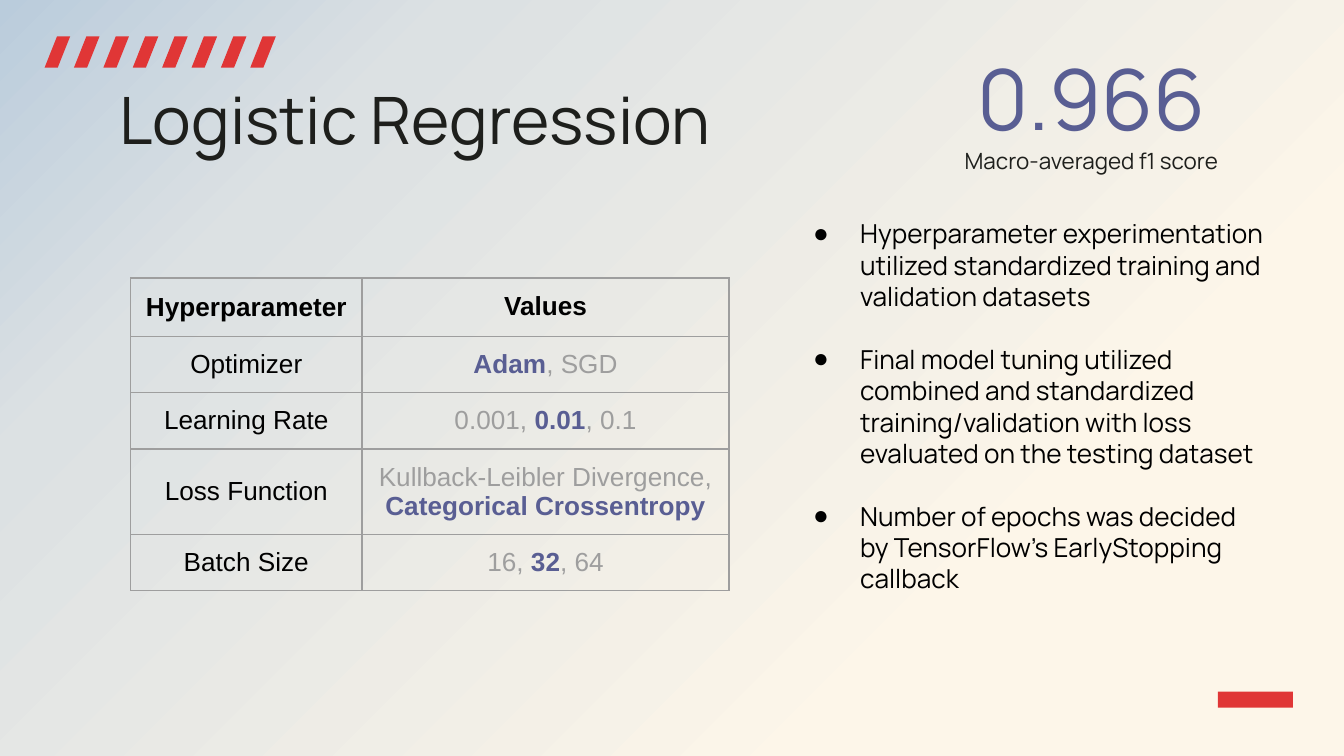
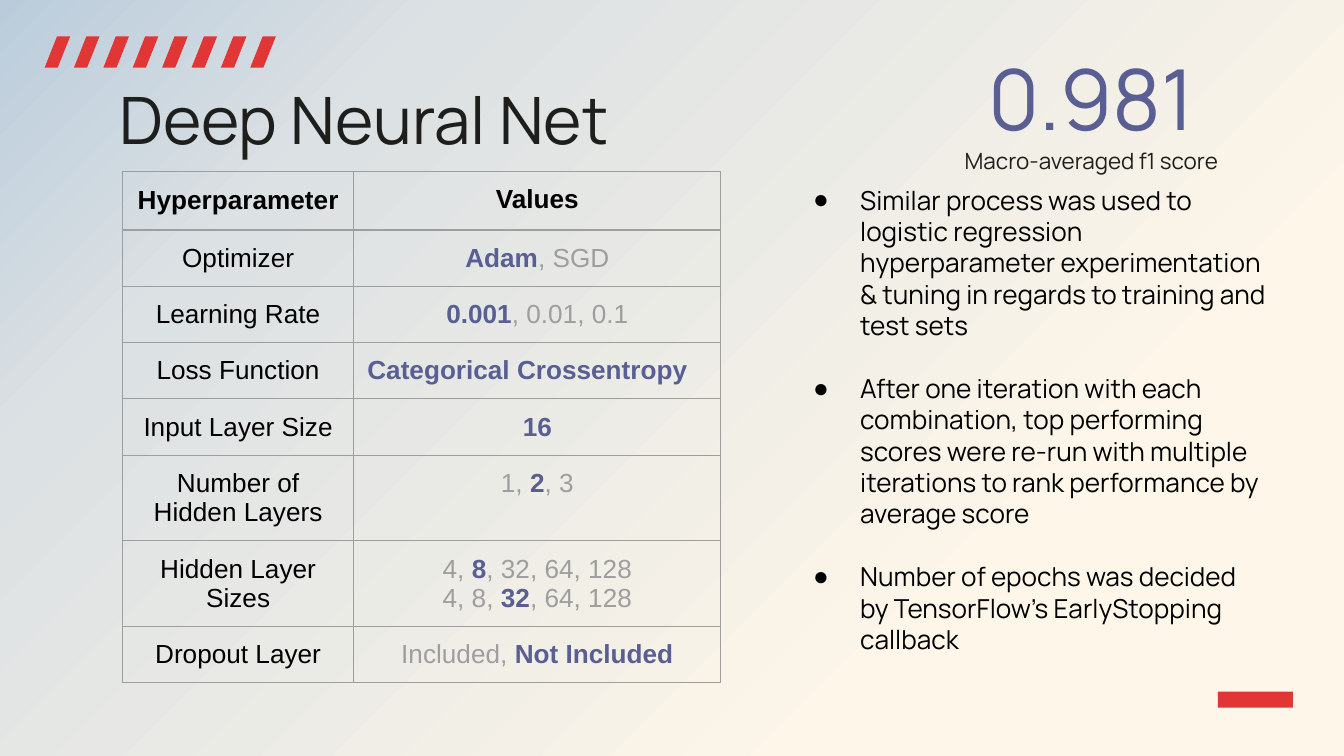
import copy

import pptx
import pptx.dml.color
import pptx.enum.shapes
import pptx.enum.text
import pptx.oxml
import pptx.oxml.ns
import pptx.util

Pt = pptx.util.Pt
Shape = pptx.enum.shapes.MSO_SHAPE
Align = pptx.enum.text.PP_ALIGN
Anchor = pptx.enum.text.MSO_ANCHOR
Fit = pptx.enum.text.MSO_AUTO_SIZE
qn = pptx.oxml.ns.qn
NS = pptx.oxml.ns.nsdecls("a")

RED, BLUE, GREY, INK, BLACK = "E03636", "595E93", "9E9E9E", "1E1F1C", "000000"
STOPS = [(0, "BACCDC"), (0.22, "DCE1E3"), (0.75, "FDF6E9"), (1, "FDF6E9")]
PAD = Pt(7.2)


def hue(code):
    return pptx.dml.color.RGBColor.from_string(code)


def write(par, text, size, code, face="Manrope", bold=False):
    """Add one formatted run to a paragraph."""
    run = par.add_run()
    run.text = text
    run.font.size = Pt(size)
    run.font.name = face
    run.font.bold = bold
    run.font.color.rgb = hue(code)


# Chosen values stand between asterisks.
TOPICS = [
    {
        "title": "Logistic Regression",
        "score": "0.966",
        "grid": (70, 149),
        "rows": [
            ("Optimizer", "*Adam*, SGD"),
            ("Learning Rate", "0.001, *0.01*, 0.1"),
            ("Loss Function", "Kullback-Leibler Divergence,\n*Categorical Crossentropy*"),
            ("Batch Size", "16, *32*, 64"),
        ],
        "list": (109.4, 252),
        "points": [
            "Hyperparameter experimentation utilized standardized training and "
            "validation datasets",
            "Final model tuning utilized combined and standardized "
            "training/validation with loss evaluated on the testing dataset",
        ],
    },
    {
        "title": "Deep Neural Net",
        "score": "0.981",
        "grid": (65.6, 92),
        "rows": [
            ("Optimizer", "*Adam*, SGD"),
            ("Learning Rate", "*0.001*, 0.01, 0.1"),
            ("Loss Function", "*Categorical Crossentropy*"),
            ("Input Layer Size", "*16*"),
            ("Number of Hidden Layers", "1, *2*, 3"),
            ("Hidden Layer Sizes", "4, *8*, 32, 64, 128\n4, 8, *32*, 64, 128"),
            ("Dropout Layer", "Included, *Not Included*"),
        ],
        "list": (91.4, 303),
        "points": [
            "Similar process was used to logistic regression hyperparameter "
            "experimentation & tuning in regards to training and test sets",
            "After one iteration with each combination, top performing scores were "
            "re-run with multiple iterations to rank performance by average score",
        ],
    },
]
LAST = "Number of epochs was decided by TensorFlow’s EarlyStopping callback"

deck = pptx.Presentation()
deck.slide_width, deck.slide_height = Pt(720), Pt(405)
layout = deck.slide_layouts[1]

# Shared background
fill = layout.background.fill
fill.gradient()
fill.gradient_angle = 315
stops = layout.element.find(".//" + qn("a:gsLst"))
for _ in STOPS[2:]:
    stops.append(copy.deepcopy(stops[-1]))
for stop, (place, code) in zip(fill.gradient_stops, STOPS):
    stop.position = place
    stop.color.rgb = hue(code)

# The layout keeps only its title and body
for holder in list(layout.placeholders)[2:]:
    layout.shapes.element.remove(holder.element)

slides = [deck.slides.add_slide(layout) for _ in TOPICS]

# Stripes and corner bar, drawn once and moved to the layout
marks = [(Shape.PARALLELOGRAM, 23.9 + 15.74 * i, 19.5, 13.7, 16.7) for i in range(8)]
marks.append((Shape.RECTANGLE, 652.5, 370.5, 40.2, 8.7))
drawn = []
for kind, *box in marks:
    mark = slides[0].shapes.add_shape(kind, *map(Pt, box))
    mark.shadow.inherit = False
    mark.fill.solid()
    mark.fill.fore_color.rgb = hue(RED)
    mark.line.fill.background()
    if kind == Shape.PARALLELOGRAM:
        mark.adjustments[0] = 0.486
    drawn.append(mark)
for mark in drawn:
    layout.shapes.element.append(mark.element)

for slide, topic in zip(slides, TOPICS):
    title, body = slide.placeholders
    score = slide.shapes.add_textbox(Pt(477.4), Pt(25.9), Pt(214.6), Pt(66.2))
    title.left, title.top, title.width, title.height = map(Pt, (56.8, 35.3, 607, 45.4))
    top, high = topic["list"]
    body.left, body.top, body.width, body.height = map(Pt, (417.6, top, 268, high))
    for box in (title, body, score):
        frame = box.text_frame
        frame.word_wrap = True
        frame.auto_size = Fit.NONE
        frame.vertical_anchor = Anchor.TOP
        frame.margin_left = frame.margin_right = PAD
        frame.margin_top = frame.margin_bottom = PAD

    par = title.text_frame.paragraphs[0]
    par.alignment = Align.LEFT
    write(par, topic["title"], 35, INK)

    frame = score.text_frame
    frame.vertical_anchor = Anchor.MIDDLE
    for par, text, size, code in (
        (frame.paragraphs[0], topic["score"], 45, BLUE),
        (frame.add_paragraph(), "Macro-averaged f1 score", 12, INK),
    ):
        par.alignment = Align.CENTER
        write(par, text, size, code)

    frame = body.text_frame
    for i, text in enumerate(topic["points"] + [LAST]):
        par = frame.add_paragraph() if i else frame.paragraphs[0]
        par.space_before = Pt(16.8 if i else 0)
        props = par._p.get_or_add_pPr()
        props.set("marL", str(Pt(36)))
        props.set("indent", str(Pt(-25.2)))
        for xml in (
            f'<a:buClr {NS}><a:srgbClr val="{BLACK}"/></a:buClr>',
            f'<a:buFont {NS} typeface="Arial"/>',
            f'<a:buChar {NS} char="●"/>',
        ):
            props.append(pptx.oxml.parse_xml(xml))
        write(par, text, 14, BLACK)

    rows = [("Hyperparameter", "Values")] + topic["rows"]
    left, top = topic["grid"]
    grid = slide.shapes.add_table(
        len(rows), 2, Pt(left), Pt(top), Pt(320.6), Pt(30 * len(rows) + 1)
    ).table
    grid.first_row = grid.horz_banding = False
    grid.columns[0].width, grid.columns[1].width = Pt(124), Pt(196.6)
    for r, row in enumerate(rows):
        grid.rows[r].height = Pt(30 if r else 31.2)
        for c, value in enumerate(row):
            cell = grid.cell(r, c)
            cell.margin_left = cell.margin_right = PAD
            cell.margin_top = cell.margin_bottom = PAD
            cell.vertical_anchor = Anchor.TOP if c else Anchor.MIDDLE
            props = cell._tc.get_or_add_tcPr()
            for side in "LRTB":
                props.append(pptx.oxml.parse_xml(
                    f'<a:ln{side} {NS} w="{Pt(0.75)}"><a:solidFill>'
                    f'<a:srgbClr val="{GREY}"/></a:solidFill></a:ln{side}>'
                ))
            cell.fill.background()
            for n, line in enumerate(value.split("\n")):
                frame = cell.text_frame
                par = frame.add_paragraph() if n else frame.paragraphs[0]
                alone = value == "*Categorical Crossentropy*"
                par.alignment = Align.LEFT if alone else Align.CENTER
                for k, part in enumerate(line.split("*")):
                    chosen = k % 2 == 1
                    code = BLUE if chosen else GREY if r and c else BLACK
                    if part:
                        write(par, part, 14, code, "Arial", chosen or r == 0)

deck.save("out.pptx")
